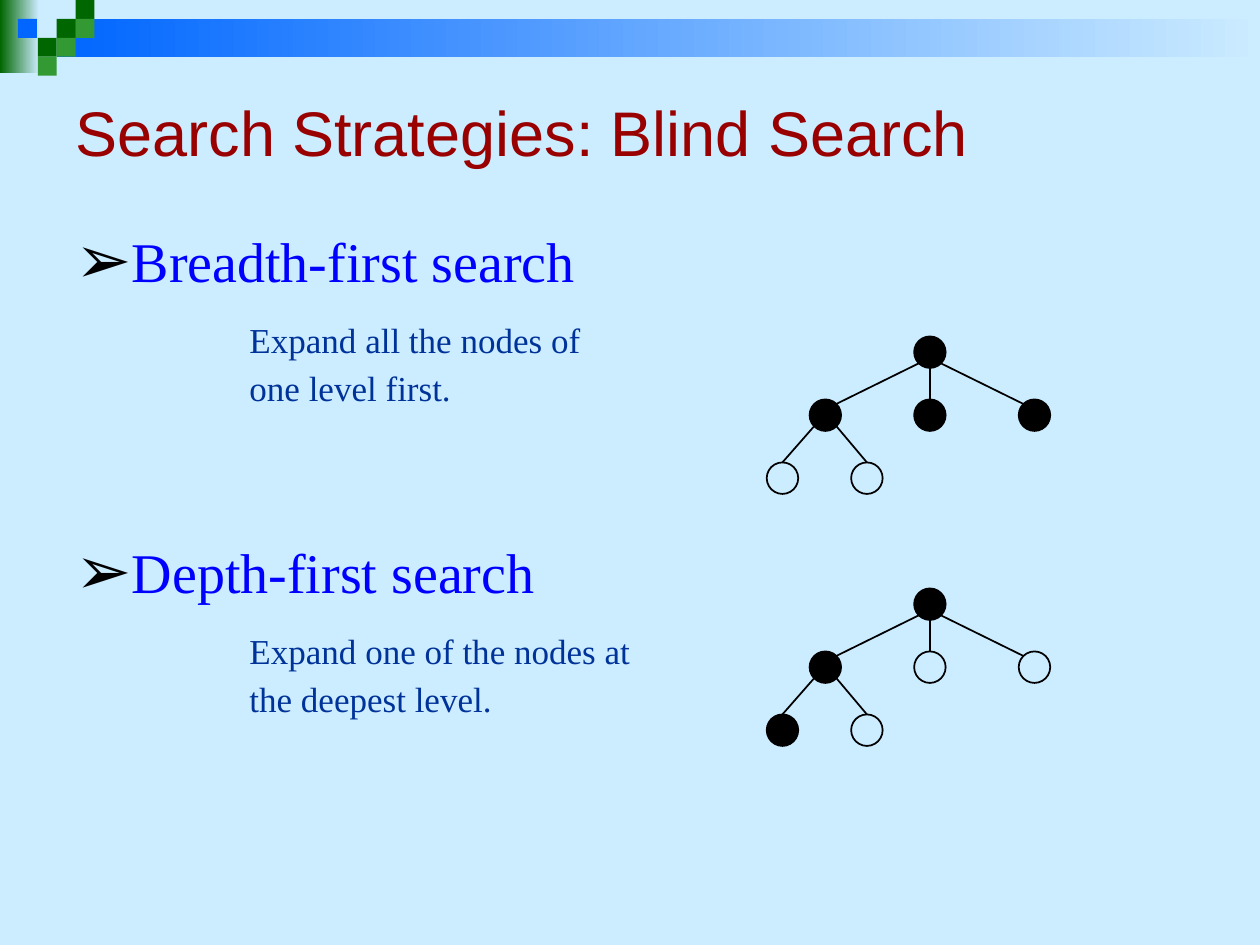
from dataclasses import dataclass

from lxml import etree
from pptx import Presentation
from pptx.dml.color import RGBColor
from pptx.enum.shapes import MSO_CONNECTOR, MSO_SHAPE
from pptx.enum.text import MSO_ANCHOR, MSO_AUTO_SIZE, PP_ALIGN
from pptx.oxml.ns import qn
from pptx.util import Inches, Pt


@dataclass(frozen=True)
class Theme:
    background: str = "CCECFF"
    title: str = "990000"
    heading: str = "0000FF"
    detail: str = "003399"
    ink: str = "000000"
    blue: str = "0066FF"
    dark_green: str = "006600"
    green: str = "339933"
    title_font: str = "Arial"
    body_font: str = "Times New Roman"
    title_size: int = 36
    heading_size: int = 32
    detail_size: int = 20


THEME = Theme()

TITLE = "Search Strategies: Blind Search"
STRATEGIES = [
    ("Breadth-first search", ["Expand all the nodes of", "one level first."]),
    ("Depth-first search", ["Expand one of the nodes at", "the deepest level."]),
]

# Banner: left, top, width, height, colour
GRADIENT_BARS = [
    (0, 0, 0.31, 0.58, THEME.dark_green),
    (0.45, 0.15, 9.55, 0.3, THEME.blue),
]
# Mosaic squares: column, row, colour
SQUARE = 0.15
MOSAIC = [
    (3, 1, THEME.dark_green), (4, 0, THEME.dark_green), (4, 1, THEME.green),
    (2, 2, THEME.dark_green), (0.95, 1, THEME.blue), (3, 2, THEME.green),
    (2, 3, THEME.green),
]

# Tree nodes: horizontal offset from the root, level
NODES = {
    "root": (0, 0),
    "left": (-0.83, 1), "middle": (0, 1), "right": (0.83, 1),
    "left leaf": (-1.17, 2), "right leaf": (-0.5, 2),
}
# Edges: parent, side it leaves by, child, side it arrives at
EDGES = [
    ("root", "bottom left", "left", "top right"),
    ("left", "bottom left", "left leaf", "top"),
    ("left", "bottom right", "right leaf", "top"),
    ("root", "bottom", "middle", "top"),
    ("root", "bottom right", "right", "top left"),
]
# Trees: top of the root, expanded nodes
TREES = [
    (2.67, {"root", "left", "middle", "right"}),
    (4.67, {"root", "left", "left leaf"}),
]
ROOT_X = 7.38
LEVEL_GAP = 0.5
RADIUS = 0.125
DIAGONAL = 0.09
SIDES = {
    "top": (0, -RADIUS), "bottom": (0, RADIUS),
    "top left": (-DIAGONAL, -DIAGONAL), "top right": (DIAGONAL, -DIAGONAL),
    "bottom left": (-DIAGONAL, DIAGONAL), "bottom right": (DIAGONAL, DIAGONAL),
}


def color(value):
    return RGBColor.from_string(value)


def write(paragraph, text, *, font, size, ink, before=0, margin=0, indent=0, bullet=None):
    properties = paragraph._p.get_or_add_pPr()
    properties.set("marL", str(Inches(margin)))
    properties.set("indent", str(Inches(indent)))
    if bullet:
        bullet_color = etree.SubElement(properties, qn("a:buClr"))
        etree.SubElement(bullet_color, qn("a:srgbClr"), val=THEME.ink)
        etree.SubElement(properties, qn("a:buSzPct"), val="120000")
        etree.SubElement(properties, qn("a:buChar"), char=bullet)
    else:
        etree.SubElement(properties, qn("a:buNone"))
    paragraph.alignment = PP_ALIGN.LEFT
    paragraph.space_before = Pt(before)
    paragraph.space_after = Pt(0)
    run = paragraph.add_run()
    run.text = text
    run.font.name = font
    run.font.size = Pt(size)
    run.font.color.rgb = color(ink)


def place(shape, left, top, width, height, anchor):
    shape.left, shape.top = Inches(left), Inches(top)
    shape.width, shape.height = Inches(width), Inches(height)
    frame = shape.text_frame
    frame.word_wrap = True
    frame.auto_size = MSO_AUTO_SIZE.NONE
    frame.vertical_anchor = anchor
    return frame


def add_shape(slide, kind, left, top, width, height, fill=None, line=None, fade=False):
    shape = slide.shapes.add_shape(
        kind, Inches(left), Inches(top), Inches(width), Inches(height))
    shape.shadow.inherit = False
    if fade:
        shape.fill.gradient()
        shape.fill.gradient_angle = 0
        for stop, position, value in zip(
                shape.fill.gradient_stops, (0, 1), (fill, THEME.background)):
            stop.position = position
            stop.color.rgb = color(value)
    elif fill:
        shape.fill.solid()
        shape.fill.fore_color.rgb = color(fill)
    else:
        shape.fill.background()
    if line:
        shape.line.color.rgb = color(line)
        shape.line.width = Pt(1)
    else:
        shape.line.fill.background()


def add_banner(slide):
    for left, top, width, height, fill in GRADIENT_BARS:
        add_shape(slide, MSO_SHAPE.RECTANGLE, left, top, width, height, fill, fade=True)
    for column, row, fill in MOSAIC:
        add_shape(slide, MSO_SHAPE.RECTANGLE, column * SQUARE, row * SQUARE,
                  SQUARE, SQUARE, fill)


def add_text(slide):
    title = place(slide.shapes.title, 0.5, 0.5, 9, 1.08, MSO_ANCHOR.MIDDLE)
    write(title.paragraphs[0], TITLE, font=THEME.title_font,
          size=THEME.title_size, ink=THEME.title)
    body = place(slide.placeholders[1], 0.5, 1.75, 9, 5, MSO_ANCHOR.TOP)
    for number, (heading, details) in enumerate(STRATEGIES):
        paragraph = body.add_paragraph() if number else body.paragraphs[0]
        write(paragraph, heading, font=THEME.body_font, size=THEME.heading_size,
              ink=THEME.heading, before=74 if number else 0,
              margin=0.38, indent=-0.38, bullet="➢")
        for row, detail in enumerate(details):
            write(body.add_paragraph(), detail, font=THEME.body_font,
                  size=THEME.detail_size, ink=THEME.detail,
                  before=3.3 if row else 14, margin=1.38)


def add_tree(slide, top, expanded):
    centers = {name: (ROOT_X + offset, top + RADIUS + level * LEVEL_GAP)
               for name, (offset, level) in NODES.items()}
    for name, (x, y) in centers.items():
        add_shape(slide, MSO_SHAPE.OVAL, x - RADIUS, y - RADIUS, 2 * RADIUS, 2 * RADIUS,
                  THEME.ink if name in expanded else None, line=THEME.ink)
    for parent, leave, child, arrive in EDGES:
        ends = [Inches(center + shift)
                for node, side in ((parent, leave), (child, arrive))
                for center, shift in zip(centers[node], SIDES[side])]
        edge = slide.shapes.add_connector(MSO_CONNECTOR.STRAIGHT, *ends)
        edge.line.color.rgb = color(THEME.ink)
        edge.line.width = Pt(1)
        etree.SubElement(edge._element.spPr, qn("a:effectLst"))


def main():
    presentation = Presentation()
    presentation.slide_width, presentation.slide_height = Inches(10), Inches(7.5)
    slide = presentation.slides.add_slide(presentation.slide_layouts[1])
    slide.background.fill.solid()
    slide.background.fill.fore_color.rgb = color(THEME.background)
    add_banner(slide)
    add_text(slide)
    for top, expanded in TREES:
        add_tree(slide, top, expanded)
    presentation.save("out.pptx")


if __name__ == "__main__":
    main()
